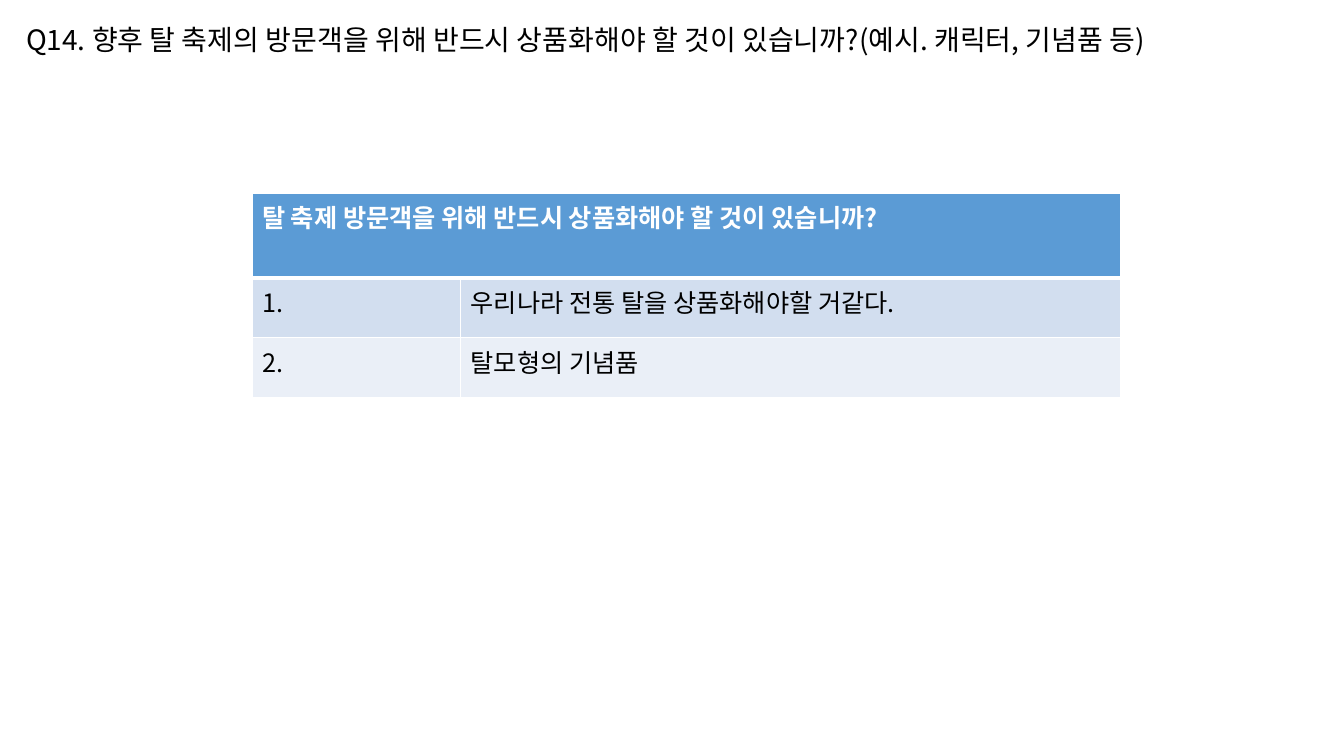
from lxml.etree import SubElement
from pptx import Presentation
from pptx.dml.color import RGBColor
from pptx.enum.text import MSO_AUTO_SIZE as AutoSize
from pptx.oxml.ns import qn
from pptx.util import Inches, Pt

COLORS = {
    "text": "000000",
    "header_text": "FFFFFF",
    "header": "5B9BD5",
    "odd_row": "D2DEEF",
    "even_row": "EAEFF7",
    "border": "FFFFFF",
}


class SurveySlide:
    """Holds the style and the slide; lengths are percent of the slide size."""

    font_name = "Noto Sans CJK KR"

    def __init__(self, presentation):
        self.width = presentation.slide_width
        self.height = presentation.slide_height
        self.slide = presentation.slides.add_slide(presentation.slide_layouts[6])

    def across(self, percent):
        return round(self.width * percent / 100)

    def down(self, percent):
        return round(self.height * percent / 100)

    def set_text(self, text_frame, text, size, color, bold=False):
        text_frame.text = text
        for run in text_frame.paragraphs[0].runs:
            font = run.font
            font.name, font.size, font.bold = self.font_name, Pt(size), bold
            font.color.rgb = RGBColor.from_string(COLORS[color])
            east_asian = SubElement(run._r.get_or_add_rPr(), qn("a:ea"))
            east_asian.set("typeface", self.font_name)

    def question(self, left, top, width, height, text):
        shape = self.slide.shapes.add_textbox(
            self.across(left), self.down(top), self.across(width), self.down(height))
        self.set_text(shape.text_frame, text, 20, "text")
        shape.text_frame.word_wrap = False
        shape.text_frame.auto_size = AutoSize.SHAPE_TO_FIT_TEXT

    def border(self, cell, bottom):
        properties = cell._tc.get_or_add_tcPr()
        for index, side in enumerate(("lnL", "lnR", "lnT", "lnB")):
            points = bottom if side == "lnB" else 1
            line = properties.makeelement(qn(f"a:{side}"), {"w": str(Pt(points))})
            fill = SubElement(line, qn("a:solidFill"))
            SubElement(fill, qn("a:srgbClr")).set("val", COLORS["border"])
            properties.insert(index, line)

    def answers(self, left, top, columns, rows, header, records):
        table = self.slide.shapes.add_table(
            len(rows), len(columns), self.across(left), self.down(top),
            self.across(sum(columns)), self.down(sum(rows))).table
        for column, width in zip(table.columns, columns):
            column.width = self.across(width)
        for row, height in zip(table.rows, rows):
            row.height = self.down(height)

        # Header across all columns
        table.cell(0, 0).merge(table.cell(0, len(columns) - 1))
        self.set_text(table.cell(0, 0).text_frame, header, 18, "header_text", bold=True)

        # Numbered answers
        for number, record in enumerate(records, start=1):
            for column, text in enumerate((f"{number}.", record)):
                self.set_text(table.cell(number, column).text_frame, text, 18, "text")

        # Fills and borders
        for number, row in enumerate(table.rows):
            fill = "header" if number == 0 else "odd_row" if number % 2 else "even_row"
            for cell in row.cells:
                cell.fill.solid()
                cell.fill.fore_color.rgb = RGBColor.from_string(COLORS[fill])
                self.border(cell, bottom=1 if number else 3)


def main():
    presentation = Presentation()
    presentation.slide_width, presentation.slide_height = Inches(13.33), Inches(7.5)
    survey = SurveySlide(presentation)

    # Answer table
    survey.answers(
        18.75, 25.6, columns=(15.53, 49.1), rows=(11.2, 7.9, 7.9),
        header="탈 축제 방문객을 위해 반드시 상품화해야 할 것이 있습니까?",
        records=("우리나라 전통 탈을 상품화해야할 거같다.", "탈모형의 기념품"))

    # Question
    survey.question(
        1.2, 2.27, 94.45, 5.87,
        "Q14. 향후 탈 축제의 방문객을 위해 반드시 상품화해야 할 것이 있습니까?"
        "(예시. 캐릭터, 기념품 등)")

    presentation.save("out.pptx")


if __name__ == "__main__":
    main()
